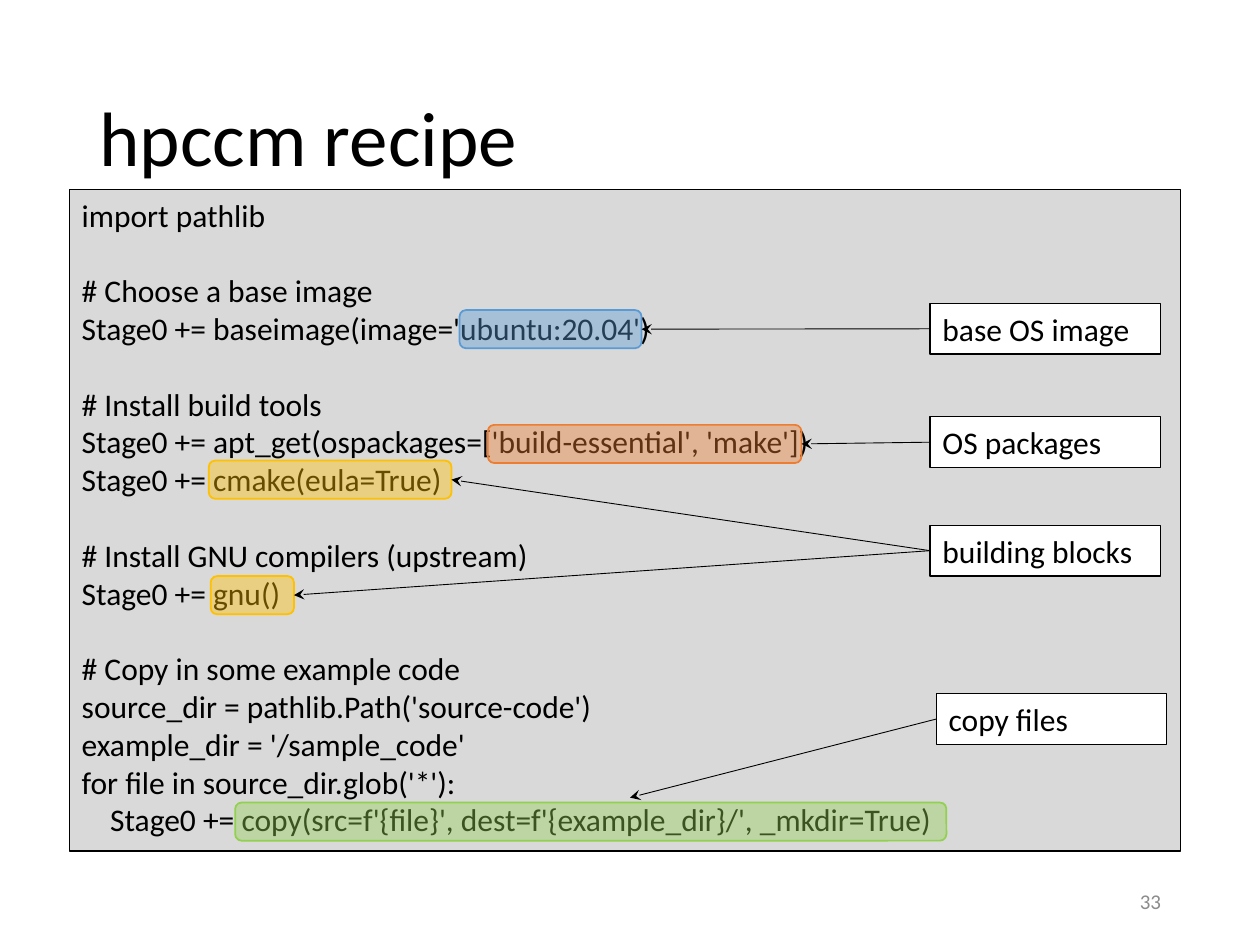
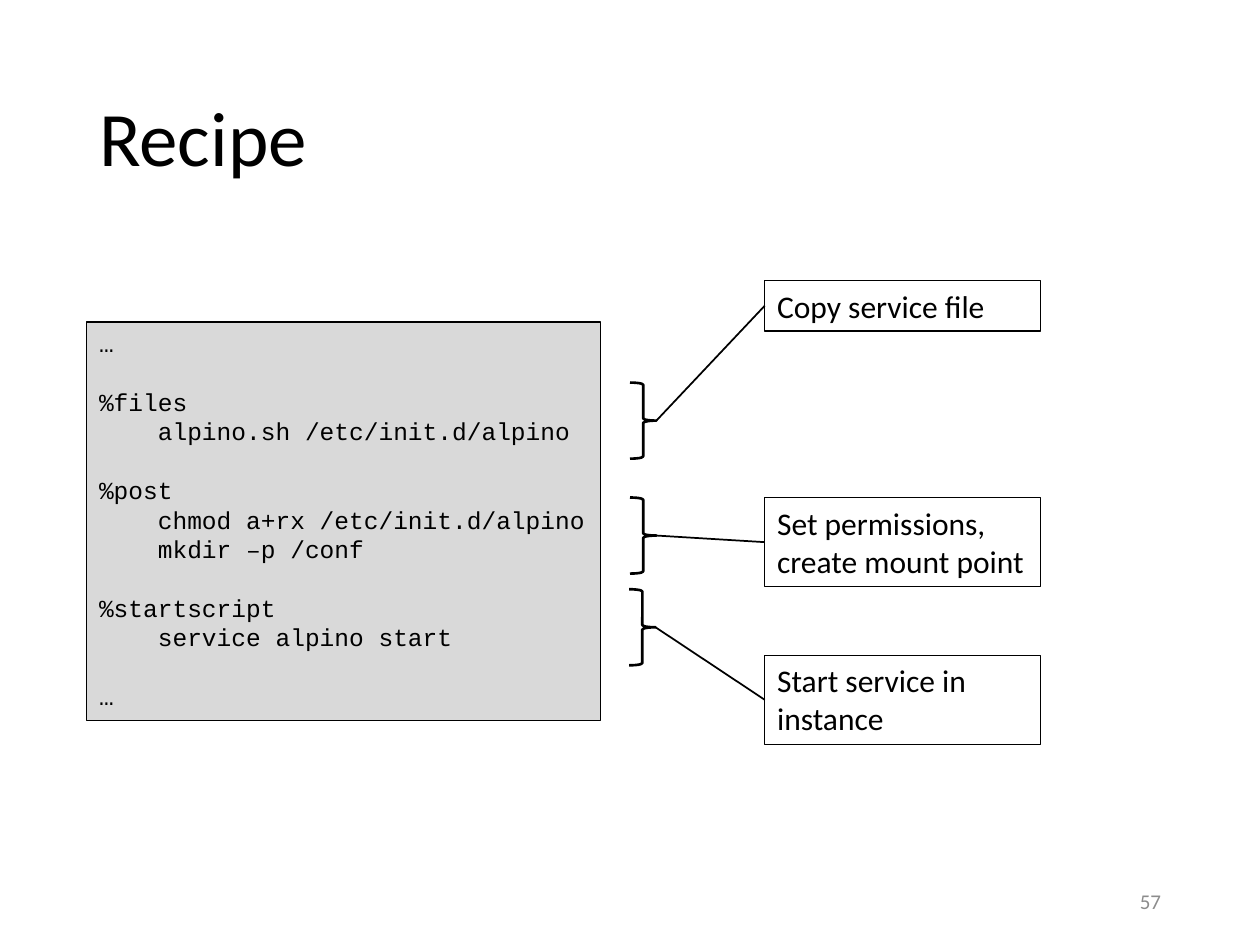
"""Build two slides that explain container recipes."""
import pptx
import pptx.dml.color
import pptx.enum.shapes
import pptx.enum.text
import pptx.oxml
import pptx.oxml.ns
import pptx.util

Pt = pptx.util.Pt
Shape = pptx.enum.shapes.MSO_SHAPE
Align = pptx.enum.text.PP_ALIGN
Anchor = pptx.enum.text.MSO_ANCHOR

BLACK, WHITE, GREY, PALE = "000000", "FFFFFF", "8C8C8C", "D9D9D9"
BLUE, RUST, GOLD, GREEN = "5B9BD5", "ED7D31", "FFC000", "92D050"

BUILD = """import pathlib

# Choose a base image
Stage0 += baseimage(image='ubuntu:20.04')

# Install build tools
Stage0 += apt_get(ospackages=['build-essential', 'make'])
Stage0 += cmake(eula=True)

# Install GNU compilers (upstream)
Stage0 += gnu()

# Copy in some example code
source_dir = pathlib.Path('source-code')
example_dir = '/sample_code'
for file in source_dir.glob('*'):
    Stage0 += copy(src=f'{file}', dest=f'{example_dir}/', _mkdir=True)"""

SERVE = """…

%files
    alpino.sh /etc/init.d/alpino

%post
    chmod a+rx /etc/init.d/alpino
    mkdir –p /conf

%startscript
    service alpino start

…"""


def tint(form, code):
    form.solid()
    form.fore_color.rgb = pptx.dml.color.RGBColor.from_string(code)


def add_xml(node, tag, **attrs):
    attrs = "".join(f' {key}="{val}"' for key, val in attrs.items())
    space = pptx.oxml.ns.nsdecls("a")
    node.append(pptx.oxml.parse_xml(f"<a:{tag} {space}{attrs}/>"))


def write(shape, text, size=18, font="Calibri", color=BLACK,
          align=Align.LEFT, anchor=Anchor.TOP, lead=None):
    frame = shape.text_frame
    frame.word_wrap = True
    frame.vertical_anchor = anchor
    para = frame.paragraphs[0]
    for part, block in enumerate(text.split("\n\n")):
        for row, line in enumerate(block.split("\n")):
            if part or row:
                para = frame.add_paragraph()
            if part and not row:
                para.space_before = Pt(1.2 * size)
            para.text = line
            para.alignment = align
            para.line_spacing = lead
            for run in para.runs:
                run.font.size = Pt(size)
                run.font.name = font
                tint(run.font.fill, color)


def add_page(deck, title, number):
    slide = deck.slides.add_slide(deck.slide_layouts[5])
    head = slide.shapes.title
    head.left, head.top, head.width, head.height = map(Pt, (49.5, 28.75, 621, 104.4))
    write(head, title, size=44, anchor=Anchor.MIDDLE, lead=0.9)
    foot = slide.shapes.add_textbox(*map(Pt, (508.5, 500.5, 162, 28.75)))
    write(foot, number, size=12, color=GREY, align=Align.RIGHT, anchor=Anchor.MIDDLE)
    return slide


def add_form(slide, kind, box, fill=None, line=BLACK, width=0.75):
    shape = slide.shapes.add_shape(kind, *map(Pt, box))
    shape.shadow.inherit = False
    if fill:
        tint(shape.fill, fill)
    else:
        shape.fill.background()
    tint(shape.line.fill, line)
    shape.line.width = Pt(width)
    return shape


def add_box(slide, box, text, fill=WHITE, **style):
    write(add_form(slide, Shape.RECTANGLE, box, fill), text, **style)
    left, top, _, height = box
    return left, top + height / 2


def add_mark(slide, left, top, width, color):
    height = 21.8
    shape = add_form(slide, Shape.ROUNDED_RECTANGLE,
                     (left, top, width, height), color, color, 1)
    node = shape.fill._xPr.find(".//" + pptx.oxml.ns.qn("a:srgbClr"))
    add_xml(node, "alpha", val=40000)
    return left + width, top + height / 2


def add_brace(slide, left, top):
    width, height = 15.1, 43.5
    add_form(slide, Shape.RIGHT_BRACE, (left, top, width, height), width=1.5)
    return left + width, top + height / 2


def add_link(slide, start, end, width, arrow=False):
    link = slide.shapes.add_connector(
        pptx.enum.shapes.MSO_CONNECTOR.STRAIGHT, *map(Pt, start + end))
    tint(link.line.fill, BLACK)
    link.line.width = Pt(width)
    if arrow:
        add_xml(link.line._get_or_add_ln(), "tailEnd", type="stealth")
    add_xml(link._element.spPr, "effectLst")


def add_build(deck):
    slide = add_page(deck, "hpccm recipe", "33")
    add_box(slide, (39.6, 108.25, 635, 378), BUILD, PALE)
    notes = [
        ("base OS image", 531.5, 173.4, BLUE, [(262.6, 177.2, 104)], None),
        ("OS packages", 531.5, 238.2, RUST, [(278.8, 242.8, 179.2)], None),
        ("copy files", 535, 396.4, GREEN, [(134.4, 458.6, 406.4)], (360, 455.8)),
        ("building blocks", 531.5, 300.2, GOLD,
         [(119.3, 263.2, 138.7), (120.4, 329.2, 47.6)], None),
    ]
    for text, left, top, color, marks, aim in notes:
        ends = [add_mark(slide, *mark, color) for mark in marks]
        start = add_box(slide, (left, top, 131.75, 29), text)
        for end in ends:
            add_link(slide, start, aim or end, 0.5, arrow=True)


def add_serve(deck):
    slide = add_page(deck, "Recipe", "57")
    add_box(slide, (49.5, 184, 293.8, 227.6), SERVE, PALE,
            size=14, font="Courier New")
    notes = [
        ("Copy service file", 360, 218.6, 160.2, 29),
        ("Set permissions,\vcreate mount point", 360, 284.3, 284.3, 51),
        ("Start service in\vinstance", 359.5, 336.7, 374.4, 51),
    ]
    for text, left, top, rise, height in notes:
        tip = add_brace(slide, left, top)
        side = add_box(slide, (437, rise, 157.4, height), text)
        add_link(slide, tip, side, 1)


def main():
    deck = pptx.Presentation()
    deck.slide_width, deck.slide_height = Pt(720), Pt(540)
    add_build(deck)
    add_serve(deck)
    deck.save("out.pptx")


if __name__ == "__main__":
    main()
